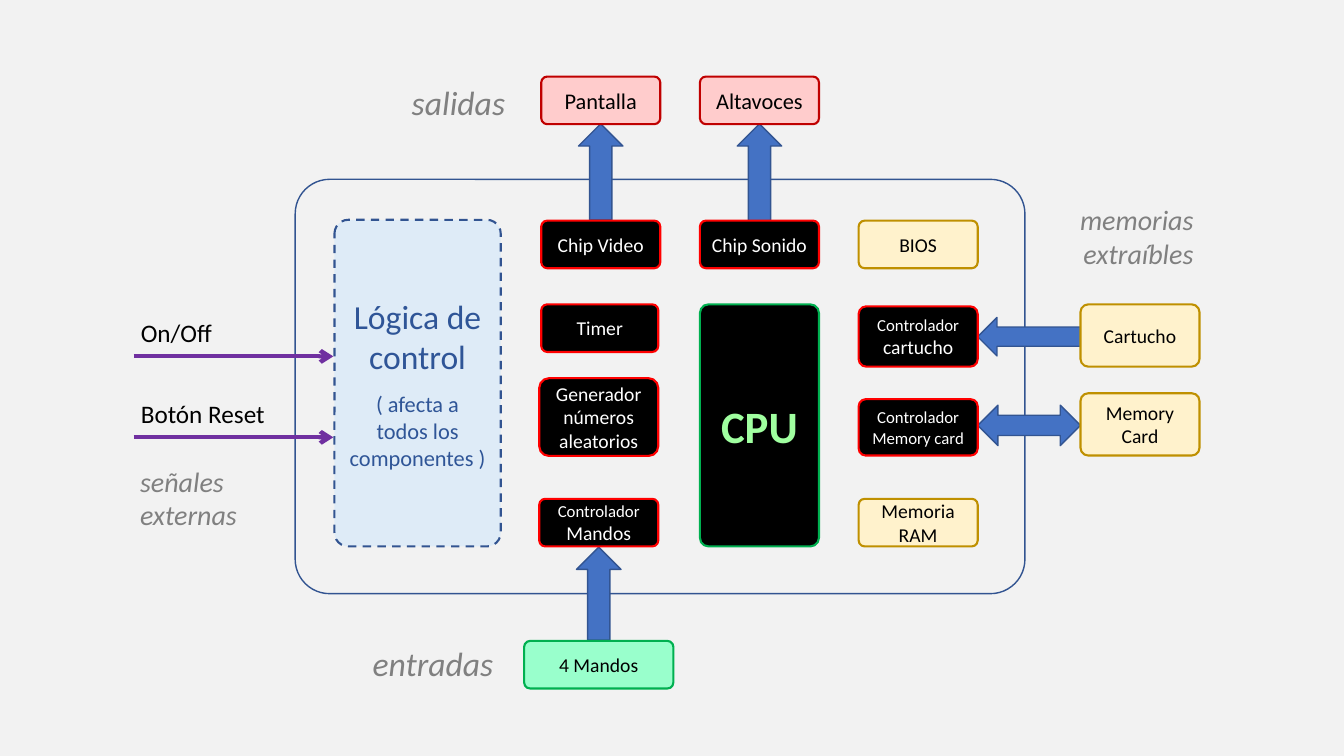
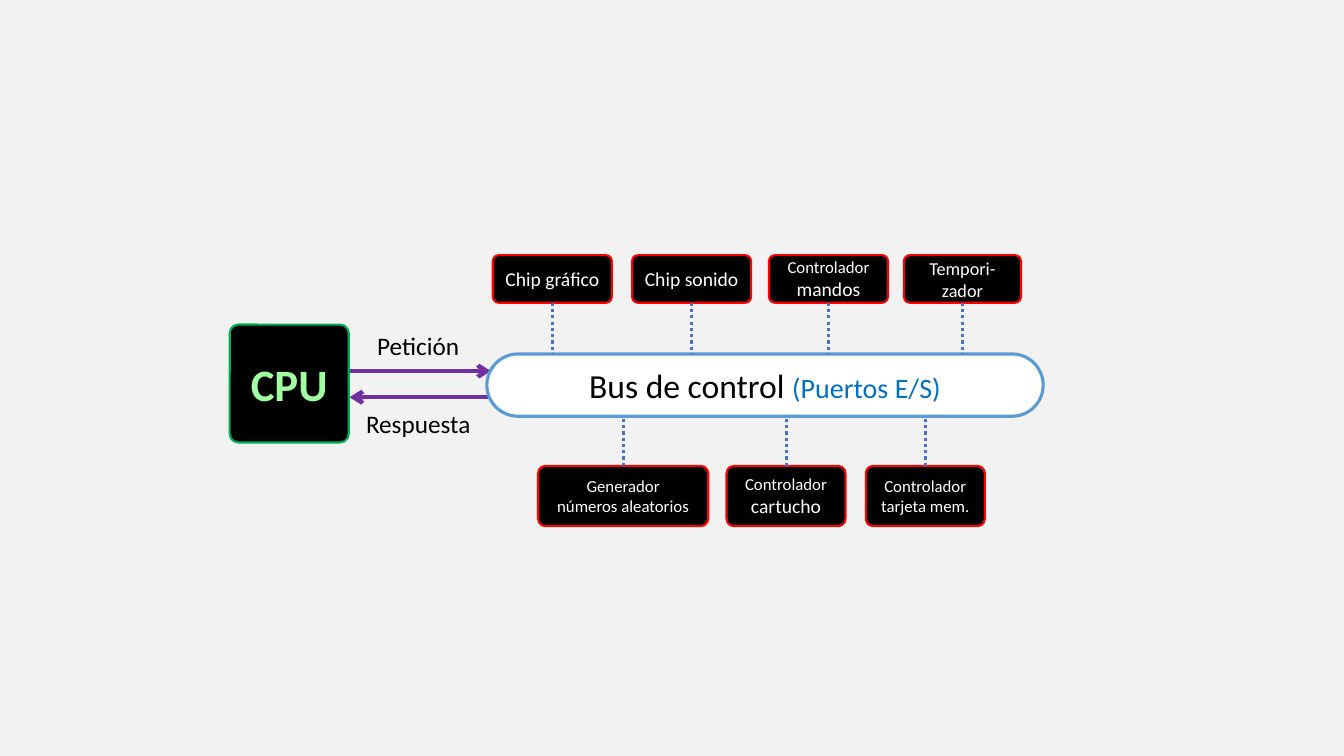
import lxml.etree
import pptx
import pptx.dml.color
import pptx.enum.dml
import pptx.enum.shapes
import pptx.enum.text
import pptx.oxml.ns
import pptx.util

Cm, Pt = pptx.util.Cm, pptx.util.Pt
SHAPE = pptx.enum.shapes.MSO_SHAPE
DASH = pptx.enum.dml.MSO_LINE
ALIGN = pptx.enum.text.PP_ALIGN
qn = pptx.oxml.ns.qn
RGB = pptx.dml.color.RGBColor.from_string

COLORS = {
    "page": "F2F2F2", "black": "000000", "white": "FFFFFF", "red": "FF0000",
    "green": "00B050", "light green": "A0FFA0", "mint": "99FFCC",
    "pink": "FFCCCC", "dark red": "C00000", "cream": "FFF2CC", "gold": "BF9000",
    "blue": "4472C4", "navy": "325491", "text blue": "2F5597", "pale blue": "DEEBF7",
    "bus": "5B9BD5", "port": "0070C0", "purple": "7030A0", "grey": "808080",
}

# Block styles shared by both slides
CHIP = dict(fill="black", line="red", color="white")
CPU = dict(fill="black", line="green", color="light green", size=32, bold=True, corner=0.073)
MEMORY = dict(fill="cream", line="gold")
OUTPUT = dict(fill="pink", line="dark red", size=16)
INPUT = dict(fill="mint", line="green")
ARROW = dict(fill="blue", line="navy", weight=1)
LABEL = dict(size=18)
CAPTION = dict(size=20, color="grey", italic=True)
SMALL = dict(size=12)


def add_block(page, at, *paragraphs, shape=SHAPE.ROUNDED_RECTANGLE, fill=None, line=None,
              weight=1.5, dash=None, corner=0.125, align=None, gap=0, **text_format):
    """Add a shape, or a text box when it has no line.

    A paragraph is a string or a list of (text, format changes)."""
    place = [Cm(length) for length in at]
    if line:
        box = page.shapes.add_shape(shape, *place)
        box.shadow.inherit = False
        if shape == SHAPE.ROUNDED_RECTANGLE:
            box.adjustments[0] = corner
        if fill:
            box.fill.solid()
            box.fill.fore_color.rgb = RGB(COLORS[fill])
        else:
            box.fill.background()
        box.line.color.rgb = RGB(COLORS[line])
        box.line.width = Pt(weight)
        box.line.dash_style = dash
        box.text_frame.margin_left = box.text_frame.margin_right = Cm(0.2)
    else:
        box = page.shapes.add_textbox(*place)
    frame = box.text_frame
    frame.word_wrap = True
    frame.vertical_anchor = pptx.enum.text.MSO_ANCHOR.MIDDLE
    for index, spans in enumerate(paragraphs):
        para = frame.add_paragraph() if index else frame.paragraphs[0]
        para.alignment = align or (ALIGN.CENTER if line else ALIGN.LEFT)
        if gap and index == 1:
            para.space_before = Pt(gap)
        for text, changes in [(spans, {})] if isinstance(spans, str) else spans:
            style = dict(size=14, color="black", bold=False, italic=False) | text_format | changes
            span = para.add_run()
            span.text = text
            span.font.name = "Calibri"
            span.font.size = Pt(style["size"])
            span.font.bold = style["bold"]
            span.font.italic = style["italic"]
            span.font.color.rgb = RGB(COLORS[style["color"]])
    return box


def add_line(page, start, end, color, weight, dash=None, arrow=False):
    connector = page.shapes.add_connector(
        pptx.enum.shapes.MSO_CONNECTOR.STRAIGHT, *[Cm(length) for length in start + end])
    connector.line.color.rgb = RGB(COLORS[color])
    connector.line.width = Pt(weight)
    connector.line.dash_style = dash
    if arrow:
        outline = connector.line._get_or_add_ln()
        lxml.etree.SubElement(outline, qn("a:tailEnd"), type="arrow")
    lxml.etree.SubElement(connector._element.spPr, qn("a:effectLst"))
    return connector


deck = pptx.Presentation()
deck.slide_width, deck.slide_height = Cm(33.87), Cm(19.05)
background = deck.slide_master.background.fill
background.solid()
background.fore_color.rgb = RGB(COLORS["page"])
blank = deck.slide_layouts[6]

# Slide 1: console components
page = deck.slides.add_slide(blank)
video, sound, memory = [13.64 + 4 * column for column in range(3)]
pads, outside = 13.59, 27.23
width, height = 3, 1.2

# Console case and control logic
add_block(page, (7.44, 4.52, 18.39, 10.44), line="navy", weight=1, corner=0.083)
add_block(page, (8.43, 5.54, 4.19, 8.23), "Lógica de control",
          [("( afecta a", dict(size=16))], [("todos los componentes )", dict(size=16))],
          fill="pale blue", line="navy", dash=DASH.DASH, corner=0.083,
          size=24, color="text blue", gap=10)

# Block arrows between the case and its surroundings
for left, top, tall in [(video, 3.12, 2.42), (sound, 3.12, 2.44), (pads, 13.79, 2.34)]:
    add_block(page, (left + width / 2 - 0.56, top, 1.12, tall), shape=SHAPE.UP_ARROW, **ARROW)
add_block(page, (24.64, 8, 2.59, 0.97), shape=SHAPE.LEFT_ARROW, **ARROW)
add_block(page, (24.64, 10.21, 2.59, 1.02), shape=SHAPE.LEFT_RIGHT_ARROW, **ARROW)

# Components
for style, at, paragraphs in [
    (OUTPUT, (video, 1.93, width, height), ["Pantalla"]),
    (OUTPUT, (sound, 1.93, width, height), ["Altavoces"]),
    (CHIP, (video, 5.56, width, height), ["Chip Video"]),
    (CHIP, (sound, 5.56, width, height), ["Chip Sonido"]),
    (MEMORY, (memory, 5.56, width, height), ["BIOS"]),
    (CHIP, (video, 7.67, 2.95, height), ["Timer"]),
    (CHIP, (pads, 9.53, width, 1.96), ["Generador", "números aleatorios"]),
    (CHIP, (pads, 12.57, width, height), [[("Controlador", SMALL)], "Mandos"]),
    (CPU, (sound, 7.67, width, 6.1), ["CPU"]),
    (CHIP, (memory, 7.72, width, 1.52), [[("Controlador ", SMALL), ("cartucho", {})]]),
    (CHIP, (memory, 10.06, width, 1.42), [[("Controlador Memory card", SMALL)]]),
    (MEMORY, (memory, 12.57, width, height), ["Memoria RAM"]),
    (MEMORY, (outside, 7.67, width, 1.57), ["Cartucho"]),
    (MEMORY, (outside, 9.91, width, 1.57), ["Memory Card"]),
    (INPUT, (13.21, 16.15, 3.76, height), ["4 Mandos"]),
]:
    add_block(page, at, *paragraphs, **style)

# External signals
for text, top in [("On/Off", 7.87), ("Botón Reset", 9.91)]:
    add_block(page, (3.3, top, 4.9, 1.02), text, **LABEL)
    add_line(page, (3.37, top + 1.11), (8.4, top + 1.11), "purple", 3, arrow=True)

# Group captions
add_block(page, (9.14, 16.08, 4.06, 1.27), "entradas", **CAPTION | dict(size=24))
add_block(page, (9.35, 1.93, 3.63, 1.27), "salidas", align=ALIGN.RIGHT, **CAPTION | dict(size=24))
add_block(page, (3.28, 11.56, 5.46, 1.96), "señales", "externas", **CAPTION)
add_block(page, (26.19, 4.98, 4.14, 1.96), "memorias", "extraíbles", align=ALIGN.RIGHT, **CAPTION)

# Slide 2: control bus
page = deck.slides.add_slide(blank)
bus_top, bus_height = 8.92, 1.57
bus_bottom = bus_top + bus_height

# CPU, request and response
add_block(page, (5.79, 8.18, width, 2.97), "CPU", **CPU)
for text, top, y, start, end in [("Petición", 8.2, 9.35, 8.81, 12.37),
                                 ("Respuesta", 10.16, 10.01, 12.34, 8.81)]:
    add_block(page, (8.84, top, 3.4, 1.02), text, align=ALIGN.CENTER, **LABEL)
    add_line(page, (start, y), (end, y), "purple", 3, arrow=True)

add_block(page, (12.27, bus_top, 14.02, bus_height),
          [("Bus de control ", {}), ("(Puertos E/S)", dict(size=20, color="port"))],
          fill="white", line="bus", weight=2.25, corner=0.5, size=24)

# Chips above and below, each tied to the bus
upper, lower = (6.43, height, bus_top, 2), (11.74, 1.52, bus_bottom, 0)
for (top, tall, bus_edge, site), left, wide, size, paragraphs in [
    (upper, 12.42, width, 14, ["Chip gráfico"]),
    (upper, 15.93, width, 14, ["Chip sonido"]),
    (upper, 19.38, width, 14, [[("Controlador ", SMALL), ("mandos", {})]]),
    (upper, 22.78, 2.95, 13, ["Tempori-", "zador"]),
    (lower, 13.56, 4.29, 12, ["Generador", "números aleatorios"]),
    (lower, 18.31, width, 14, [[("Controlador ", SMALL), ("cartucho", {})]]),
    (lower, 21.82, width, 12, ["Controlador tarjeta mem."]),
]:
    chip = add_block(page, (left, top, wide, tall), *paragraphs, size=size, **CHIP)
    middle = left + wide / 2
    tie = add_line(page, (middle, top), (middle, bus_edge), "blue", 2.25, dash=DASH.ROUND_DOT)
    tie.begin_connect(chip, site)

deck.save("out.pptx")
